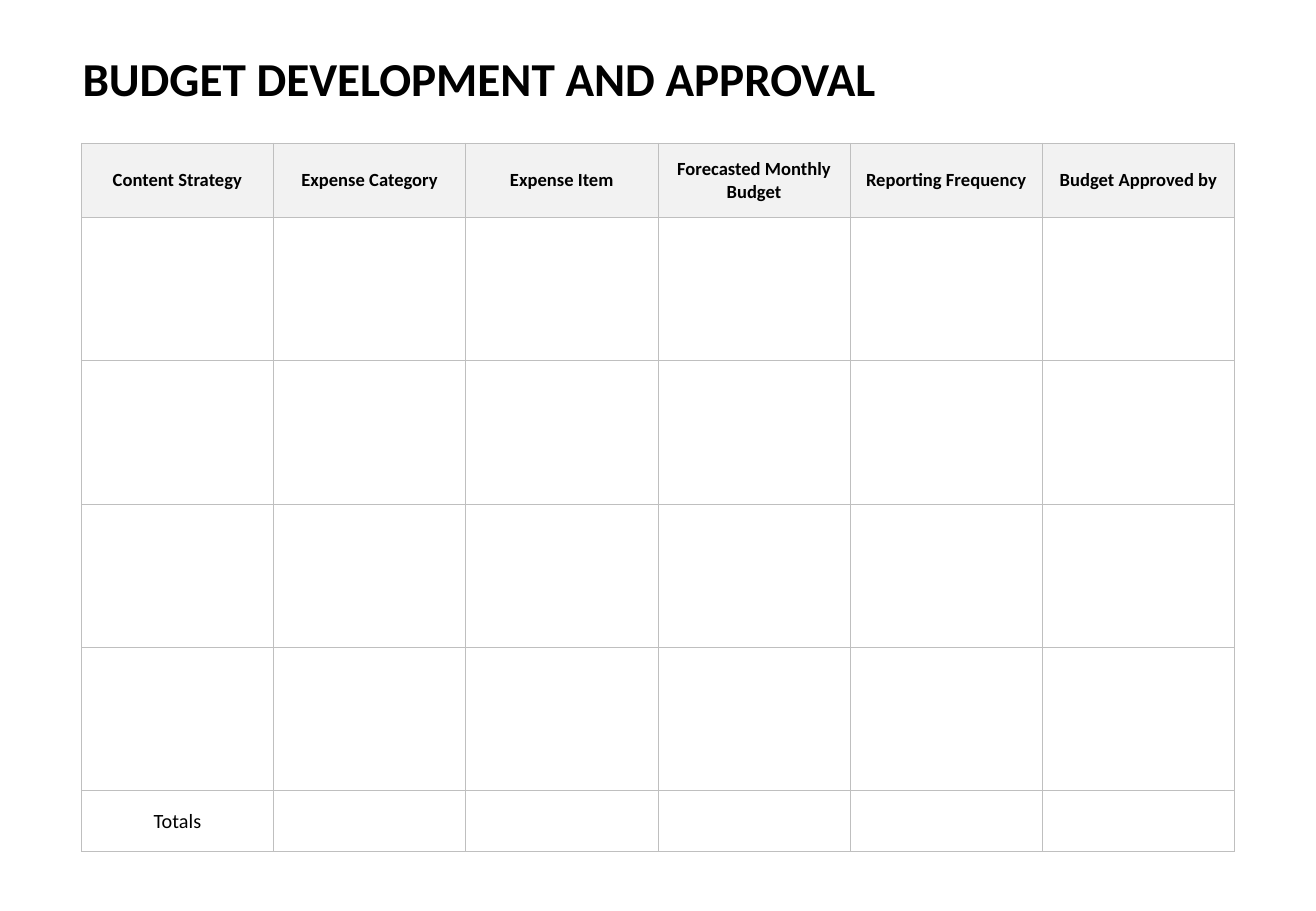
from dataclasses import dataclass

from lxml.etree import SubElement
from pptx import Presentation
from pptx.dml.color import RGBColor
from pptx.enum.text import MSO_ANCHOR as Anchor, MSO_AUTO_SIZE as AutoSize, PP_ALIGN as Align
from pptx.oxml.ns import qn
from pptx.table import _Cell as Cell
from pptx.text.text import _Paragraph as Paragraph
from pptx.util import Inches, Pt

FONT = "Calibri"
INK = "000000"
GRID = "BFBFBF"
HEADER_FILL = "F2F2F2"
GRID_WIDTH = Pt(0.45)
TABLE_WIDTH = 9.5


@dataclass
class BudgetRow:
    height: float
    labels: tuple[str, ...] = ()
    size: int = 11
    bold: bool = False
    fill: str | None = None


HEADER = BudgetRow(
    0.61,
    ("Content Strategy", "Expense Category", "Expense Item",
     "Forecasted Monthly Budget", "Reporting Frequency", "Budget Approved by"),
    bold=True, fill=HEADER_FILL,
)
BUDGET_ROWS = [HEADER, *[BudgetRow(1.18)] * 4, BudgetRow(0.5, ("Totals",), size=12)]


def color(value: str) -> RGBColor:
    return RGBColor.from_string(value)


def add_run(paragraph: Paragraph, text: str, size: int, bold: bool) -> None:
    run = paragraph.add_run()
    run.text = text
    run.font.name = FONT
    run.font.size = Pt(size)
    run.font.bold = bold
    run.font.color.rgb = color(INK)


def add_borders(cell: Cell) -> None:
    properties = cell._tc.get_or_add_tcPr()
    for side in ("a:lnL", "a:lnR", "a:lnT", "a:lnB"):
        border = SubElement(properties, qn(side), w=str(GRID_WIDTH))
        fill = SubElement(border, qn("a:solidFill"))
        SubElement(fill, qn("a:srgbClr"), val=GRID)


def format_cell(cell: Cell, row: BudgetRow, label: str) -> None:
    add_borders(cell)
    if row.fill:
        cell.fill.solid()
        cell.fill.fore_color.rgb = color(row.fill)
    else:
        cell.fill.background()
    cell.vertical_anchor = Anchor.MIDDLE
    if label:
        paragraph = cell.text_frame.paragraphs[0]
        paragraph.alignment = Align.CENTER
        paragraph.line_spacing = 1.02
        add_run(paragraph, label, row.size, row.bold)


def main() -> None:
    deck = Presentation()
    deck.slide_width, deck.slide_height = Inches(10.84), Inches(7.5)
    slide = deck.slides.add_slide(deck.slide_layouts[5])

    # Title
    title = slide.shapes.title
    title.left, title.top = Inches(0.58), Inches(0.35)
    title.width, title.height = Inches(9.01), Inches(0.57)
    title.text_frame.auto_size = AutoSize.NONE
    title.text_frame.vertical_anchor = Anchor.MIDDLE
    heading = title.text_frame.paragraphs[0]
    heading.alignment = Align.LEFT
    add_run(heading, "BUDGET DEVELOPMENT AND APPROVAL", 28, True)

    # Budget table
    column_count = len(HEADER.labels)
    table_height = sum(row.height for row in BUDGET_ROWS)
    budget = slide.shapes.add_table(
        len(BUDGET_ROWS), column_count,
        Inches(0.67), Inches(1.18), Inches(TABLE_WIDTH), Inches(table_height),
    ).table
    budget.first_row = budget.horz_banding = False
    for column in budget.columns:
        column.width = Inches(TABLE_WIDTH / column_count)
    for index, row in enumerate(BUDGET_ROWS):
        budget.rows[index].height = Inches(row.height)
        for position, cell in enumerate(budget.rows[index].cells):
            label = row.labels[position] if position < len(row.labels) else ""
            format_cell(cell, row, label)

    deck.save("out.pptx")


if __name__ == "__main__":
    main()
